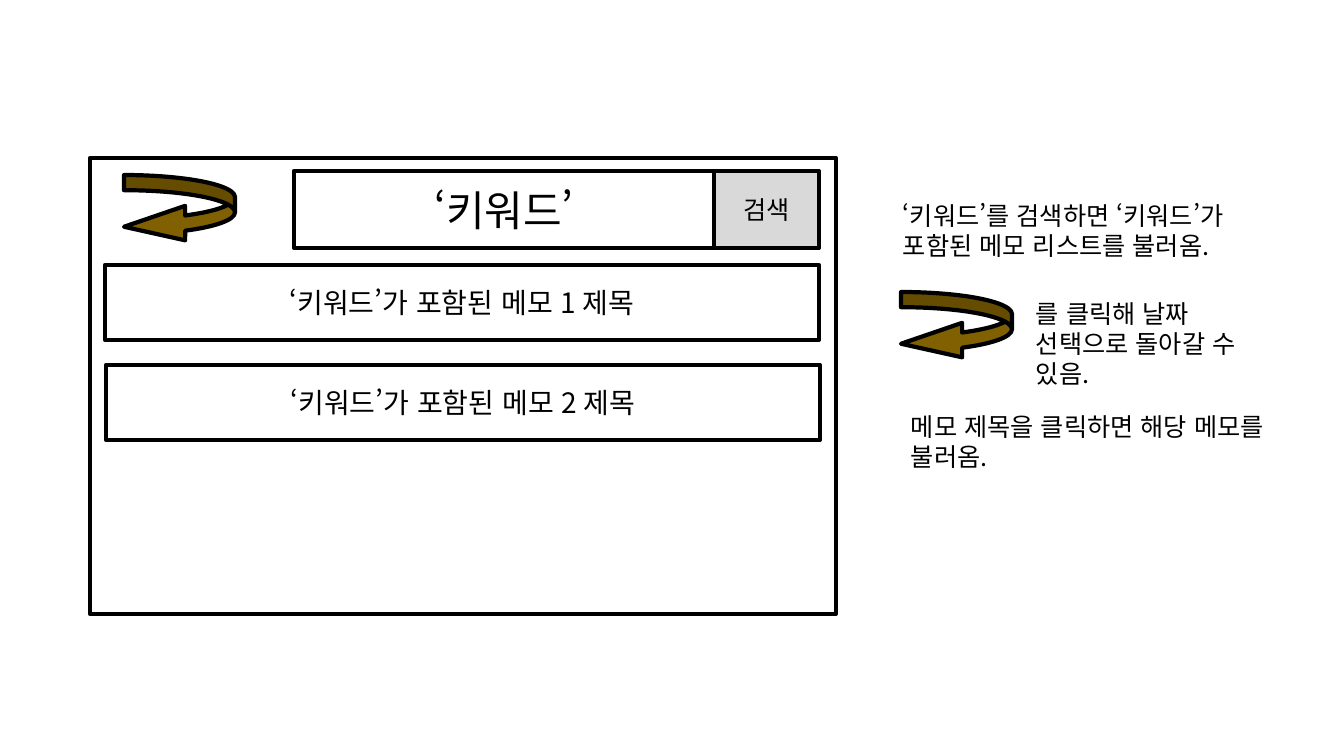
from pptx import Presentation
from pptx.dml.color import RGBColor
from pptx.enum.lang import MSO_LANGUAGE_ID
from pptx.enum.shapes import MSO_SHAPE
from pptx.enum.text import MSO_ANCHOR, PP_ALIGN
from pptx.util import Emu, Pt
from lxml import etree

RECT, BACK_ARROW = MSO_SHAPE.RECTANGLE, MSO_SHAPE.CURVED_LEFT_ARROW
MIDDLE, CENTER = MSO_ANCHOR.MIDDLE, PP_ALIGN.CENTER
KOREAN = MSO_LANGUAGE_ID.KOREAN
EMU_PER_PX = 914400 / 100.8
FONT = "Noto Sans CJK KR"
DRAWING_NS = "http://schemas.openxmlformats.org/drawingml/2006/main"
COLORS = {"ink": "000000", "paper": "FFFFFF", "button": "D9D9D9", "arrow": "806000"}


def px(*lengths):
    return [Emu(round(length * EMU_PER_PX)) for length in lengths]


def color(name):
    return RGBColor.from_string(COLORS[name])


def add_run(frame, text, size):
    run = frame.paragraphs[0].add_run()
    run.text = text
    font = run.font
    font.size, font.name, font.language_id = Pt(size), FONT, KOREAN
    font.color.rgb = color("ink")
    # Hangul takes the East Asian typeface
    east_asian = etree.SubElement(font._element, f"{{{DRAWING_NS}}}ea")
    east_asian.set("typeface", FONT)


def add_outlined(slide, kind, box, fill="paper", text="", size=18):
    shape = slide.shapes.add_shape(kind, *px(*box))
    shape.shadow.inherit = False
    shape.fill.solid()
    shape.fill.fore_color.rgb = color(fill)
    shape.line.color.rgb = color("ink")
    shape.line.width = Pt(3)
    if text:
        frame = shape.text_frame
        frame.word_wrap = True
        frame.vertical_anchor = MIDDLE
        frame.paragraphs[0].alignment = CENTER
        add_run(frame, text, size)
    return shape


def add_back_arrow(slide, left, top):
    arrow = add_outlined(slide, BACK_ARROW, (left, top, 111, 69), "arrow")
    for index, value in enumerate((0.22, 0.5, 0.886)):
        arrow.adjustments[index] = value


def add_note(slide, box, text):
    note = slide.shapes.add_textbox(*px(*box))
    note.text_frame.word_wrap = True
    add_run(note.text_frame, text, 18)


def add_search_screen(slide, left, top, width, height):
    add_outlined(slide, RECT, (left, top, width, height))
    # Memo results
    for index in range(2):
        add_outlined(slide, RECT, (left + 15 + index, top + 107 + 100 * index, 714, 75),
                     text=f"‘키워드’가 포함된 메모 {index + 1} 제목", size=20)
    # Search bar
    bar_top, bar_height = top + 13, 77
    add_outlined(slide, RECT, (left + 204, bar_top, 420, bar_height),
                 text="‘키워드’", size=30)
    add_outlined(slide, RECT, (left + 624, bar_top, 105, bar_height), "button", "검색")
    add_back_arrow(slide, left + 34, top + 17)


def add_explanations(slide, left, top):
    add_note(slide, (left, top, 402, 72),
             "‘키워드’를 검색하면 ‘키워드’가 포함된 메모 리스트를 불러옴.")
    add_back_arrow(slide, left + 8, top + 97)
    add_note(slide, (left + 133, top + 98, 254, 72),
             "를 클릭해 날짜 선택으로 돌아갈 수 있음.")
    add_note(slide, (left + 8, top + 211, 434, 72),
             "메모 제목을 클릭하면 해당 메모를 불러옴.")


deck = Presentation()
deck.slide_width, deck.slide_height = px(1344, 756)
slide = deck.slides.add_slide(deck.slide_layouts[6])
add_search_screen(slide, 90, 158, 746, 456)
add_explanations(slide, 893, 195)
deck.save("out.pptx")
